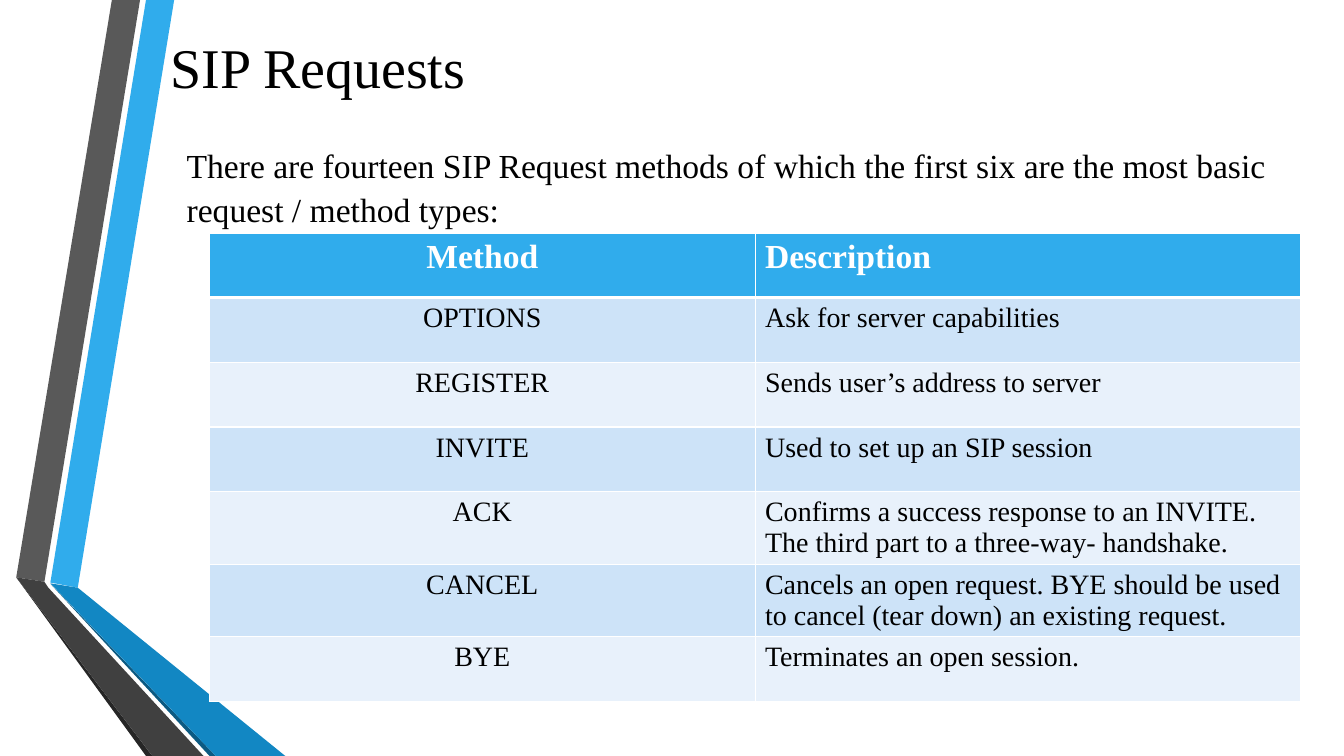
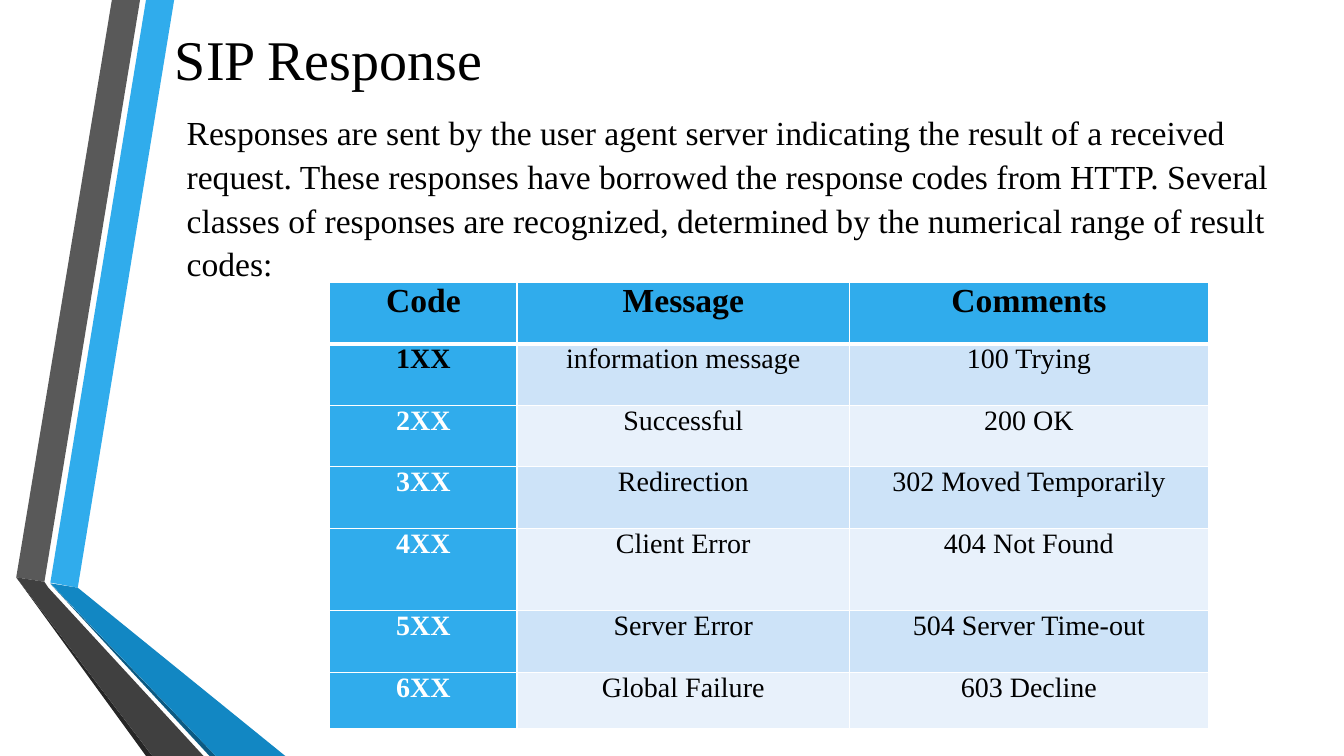
import pptx
import pptx.dml.color
import pptx.enum.text
import pptx.oxml
import pptx.oxml.ns
import pptx.util

Cm = pptx.util.Cm
Pt = pptx.util.Pt
RGBColor = pptx.dml.color.RGBColor
ALIGN = pptx.enum.text.PP_ALIGN
ANCHOR = pptx.enum.text.MSO_ANCHOR

# Shared look
FONT = "Times New Roman"
BLACK = RGBColor(0x00, 0x00, 0x00)
WHITE = RGBColor(0xFF, 0xFF, 0xFF)
BLUE = RGBColor(0x30, 0xAC, 0xEC)
MID_BLUE = RGBColor(0x12, 0x87, 0xC3)
DARK_BLUE = RGBColor(0x0C, 0x5A, 0x82)
GREY = RGBColor(0x59, 0x59, 0x59)
DARK_GREY = RGBColor(0x40, 0x40, 0x40)
NEAR_BLACK = RGBColor(0x26, 0x26, 0x26)
ROW_TINTS = [RGBColor(0xE8, 0xF1, 0xFB), RGBColor(0xCD, 0xE3, 0xF8)]

# Outlines of the folded bands, in centimetres
BANDS = [
    (BLUE, [(1.27, 14.68), (1.96, 14.81), (4.39, 0), (3.68, 0)]),
    (GREY, [(3.53, 0), (2.82, 0), (0.41, 14.55), (1.12, 14.66)]),
    (NEAR_BLACK, [(0.41, 14.55), (3.68, 19.05), (3.84, 19.05)]),
    (DARK_BLUE, [(1.27, 14.71), (5.28, 19.05), (5.44, 19.05)]),
    (MID_BLUE, [(1.27, 14.7), (5.44, 19.05), (7.19, 19.05), (1.96, 14.81)]),
    (DARK_GREY, [(5.13, 19.05), (1.22, 14.81), (1.12, 14.66), (0.41, 14.55),
                 (3.84, 19.05)]),
]

# Content of the pages; box = left, top, width, height in centimetres
PAGES = [
    {
        "title": "SIP Requests",
        "title_box": (3.96, 0.51, 8.1, 2.31),
        "body": "There are fourteen SIP Request methods of which the first six "
                "are the most basic request / method types:",
        "body_box": (4.45, 3.58, 27.84, 2.2),
        "table_at": (5.28, 5.87),
        "columns": [13.75, 13.75],
        "row_heights": [1.63] * 7,
        "margins": (0.25, 0.13),
        "aligns": [ALIGN.CENTER, ALIGN.LEFT],
        "header_color": WHITE,
        "code_column": False,
        "rows": [
            ("Method", "Description"),
            ("OPTIONS", "Ask for server capabilities"),
            ("REGISTER", "Sends user’s address to server"),
            ("INVITE", "Used to set up an SIP session"),
            ("ACK", "Confirms a success response to an INVITE. "
                    "The third part to a three-way- handshake."),
            ("CANCEL", "Cancels an open request. BYE should be used "
                       "to cancel (tear down) an existing request."),
            ("BYE", "Terminates an open session."),
        ],
    },
    {
        "title": "SIP Response",
        "title_box": (4.04, 0.3, 8.48, 2.31),
        "body": "Responses are sent by the user agent server indicating the "
                "result of a received request. These responses have borrowed "
                "the response codes from HTTP. Several classes of responses "
                "are recognized, determined by the numerical range of result "
                "codes:",
        "body_box": (4.45, 2.75, 27.84, 4.2),
        "table_at": (8.31, 7.11),
        "columns": [4.72, 8.38, 9.04],
        "row_heights": [1.55, 1.55, 1.55, 1.55, 2.08, 1.55, 1.42],
        "margins": (0.18, 0),
        "aligns": [ALIGN.CENTER] * 3,
        "header_color": BLACK,
        "code_column": True,
        "rows": [
            ("Code", "Message", "Comments"),
            ("1XX", "information message", "100 Trying"),
            ("2XX", "Successful", "200 OK"),
            ("3XX", "Redirection", "302 Moved Temporarily"),
            ("4XX", "Client Error", "404 Not Found"),
            ("5XX", "Server Error", "504 Server Time-out"),
            ("6XX", "Global Failure", "603 Decline"),
        ],
    },
]


def write(frame, text, size, align, color=BLACK, bold=False):
    para = frame.paragraphs[0]
    para.text = text
    para.alignment = align
    para.font.name = FONT
    para.font.size = Pt(size)
    para.font.bold = bold
    para.font.color.rgb = color
    return para


def add_borders(cell, widths):
    """Draw white borders; widths holds points for left, right, top, bottom."""
    properties = cell._tc.get_or_add_tcPr()
    for index, (side, width) in enumerate(zip("LRTB", widths)):
        properties.insert(index, pptx.oxml.parse_xml(
            f'<a:ln{side} {pptx.oxml.ns.nsdecls("a")} w="{Pt(width)}">'
            f'<a:solidFill><a:srgbClr val="{WHITE}"/></a:solidFill></a:ln{side}>'))


deck = pptx.Presentation()
deck.slide_width = Cm(33.87)
deck.slide_height = Cm(19.05)
layout = deck.slide_layouts[1]
pages = [deck.slides.add_slide(layout) for content in PAGES]

# Bands: built on a page, then moved to the back of the shared layout
for holder in list(layout.placeholders)[2:]:
    holder.element.getparent().remove(holder.element)
for index, (color, outline) in enumerate(BANDS):
    points = [(Cm(x), Cm(y)) for x, y in outline]
    builder = pages[0].shapes.build_freeform(*points[0])
    builder.add_line_segments(points[1:], close=True)
    band = builder.convert_to_shape()
    band.name = f"Band {index + 1}"
    band.shadow.inherit = False
    band.fill.solid()
    band.fill.fore_color.rgb = color
    band.line.fill.background()
    layout.shapes.element.insert(2 + index, band.element)

for page, content in zip(pages, PAGES):
    # Title and introduction
    title, body = page.placeholders
    for box, key in ((title, "title_box"), (body, "body_box")):
        box.left, box.top, box.width, box.height = map(Cm, content[key])
        box.text_frame.word_wrap = True
        box.text_frame.auto_size = pptx.enum.text.MSO_AUTO_SIZE.NONE
    title.text_frame.vertical_anchor = ANCHOR.MIDDLE
    write(title.text_frame, content["title"], 40, ALIGN.CENTER)
    body.text_frame.vertical_anchor = ANCHOR.TOP
    body.text_frame.margin_top = body.text_frame.margin_bottom = 0
    para = write(body.text_frame, content["body"], 24, ALIGN.LEFT)
    para.space_before = Pt(0)
    para.line_spacing = 1.08
    properties = para._p.get_or_add_pPr()
    properties.set("marL", "0")
    properties.set("indent", "0")
    bullet = pptx.oxml.parse_xml(f'<a:buNone {pptx.oxml.ns.nsdecls("a")}/>')
    properties.find(pptx.oxml.ns.qn("a:defRPr")).addprevious(bullet)

    # Table
    rows, columns, heights = (content[key] for key in ("rows", "columns", "row_heights"))
    left, top = content["table_at"]
    table = page.shapes.add_table(
        len(rows), len(columns), Cm(left), Cm(top),
        Cm(sum(columns)), Cm(sum(heights))).table
    for column, width in zip(table.columns, columns):
        column.width = Cm(width)
    for row_index, texts in enumerate(rows):
        table.rows[row_index].height = Cm(heights[row_index])
        is_header = row_index == 0
        for column_index, text in enumerate(texts):
            cell = table.cell(row_index, column_index)
            is_code = content["code_column"] and column_index == 0
            strong = is_header or is_code
            color = BLACK
            if is_header:
                color = content["header_color"]
            elif is_code and row_index > 1:
                color = WHITE
            side, edge = content["margins"]
            cell.margin_left = cell.margin_right = Cm(side)
            cell.margin_top = cell.margin_bottom = Cm(edge)
            cell.fill.solid()
            cell.fill.fore_color.rgb = BLUE if strong else ROW_TINTS[row_index % 2]
            write(cell.text_frame, text, 24 if is_header else 20,
                  content["aligns"][column_index], color, strong)
            add_borders(cell, (1, 1, 3 if row_index == 1 else 1, 3 if is_header else 1))

deck.save("out.pptx")
